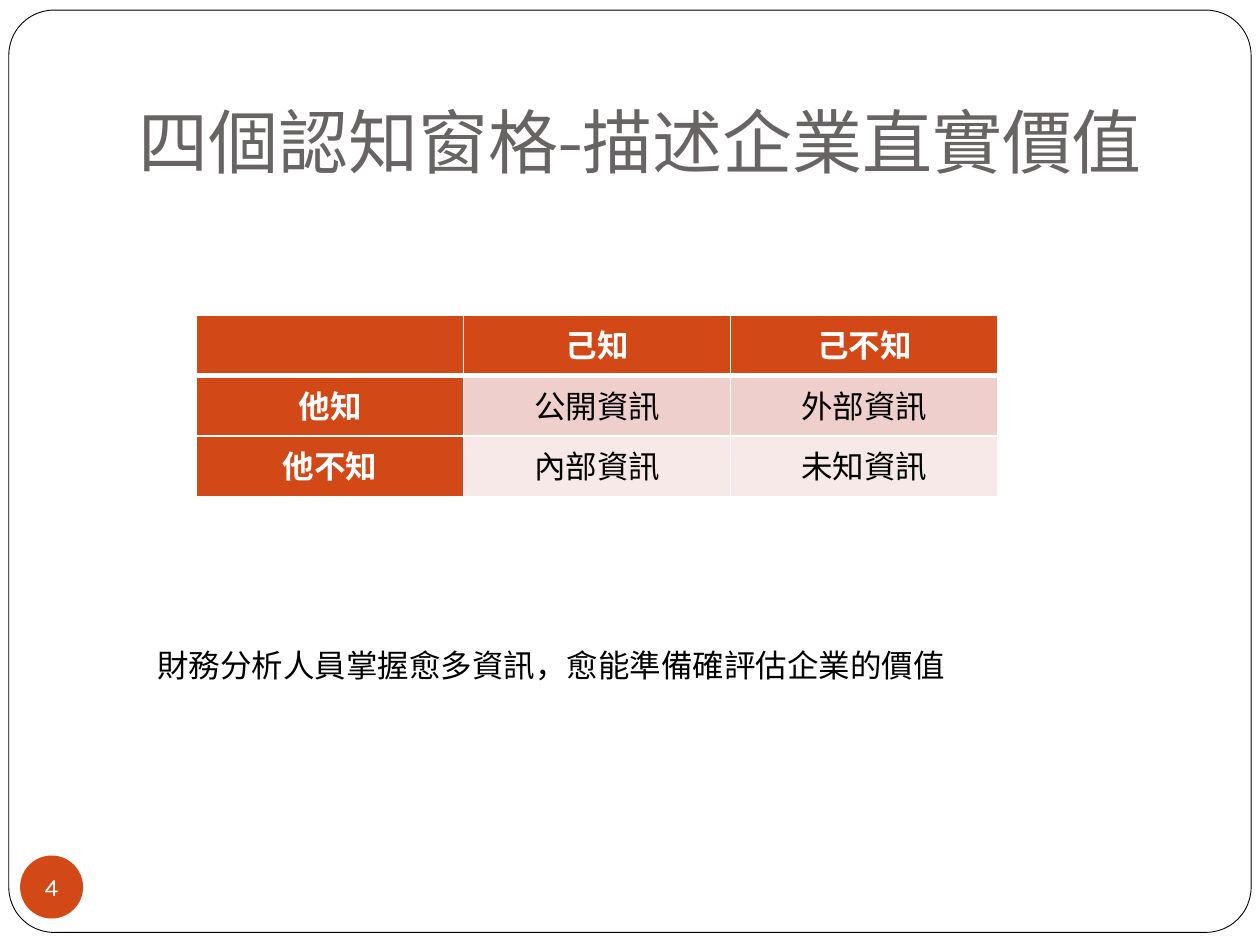
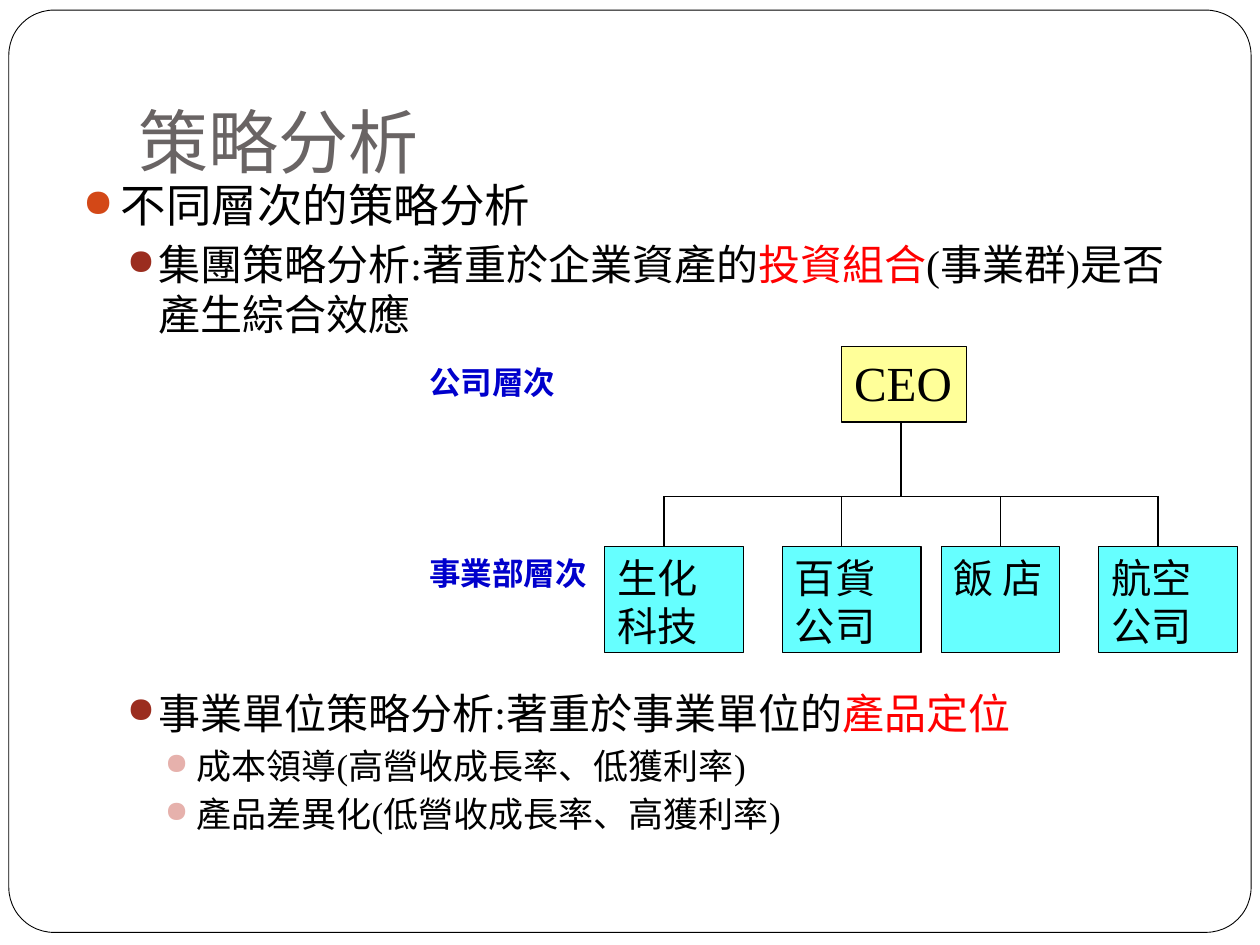
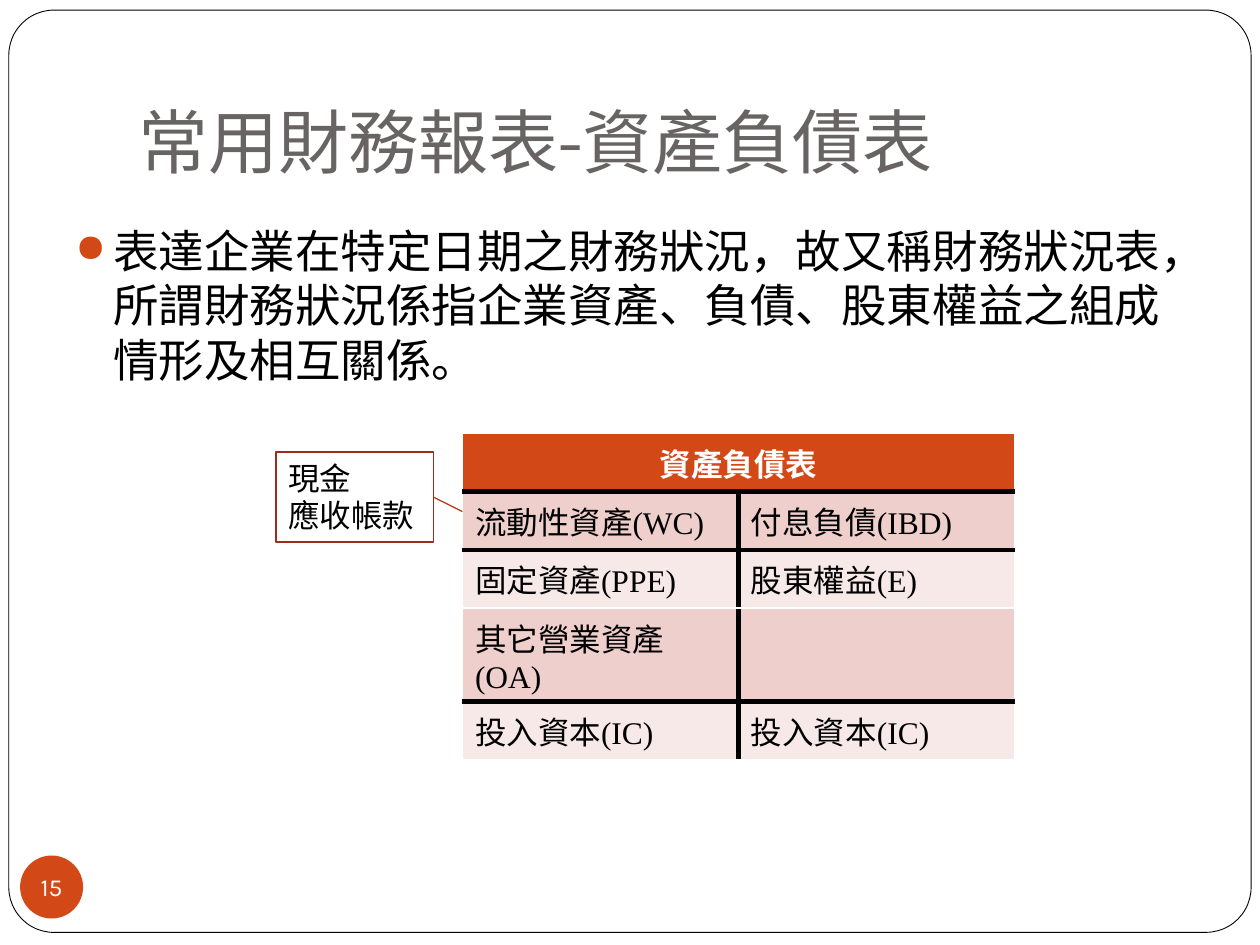
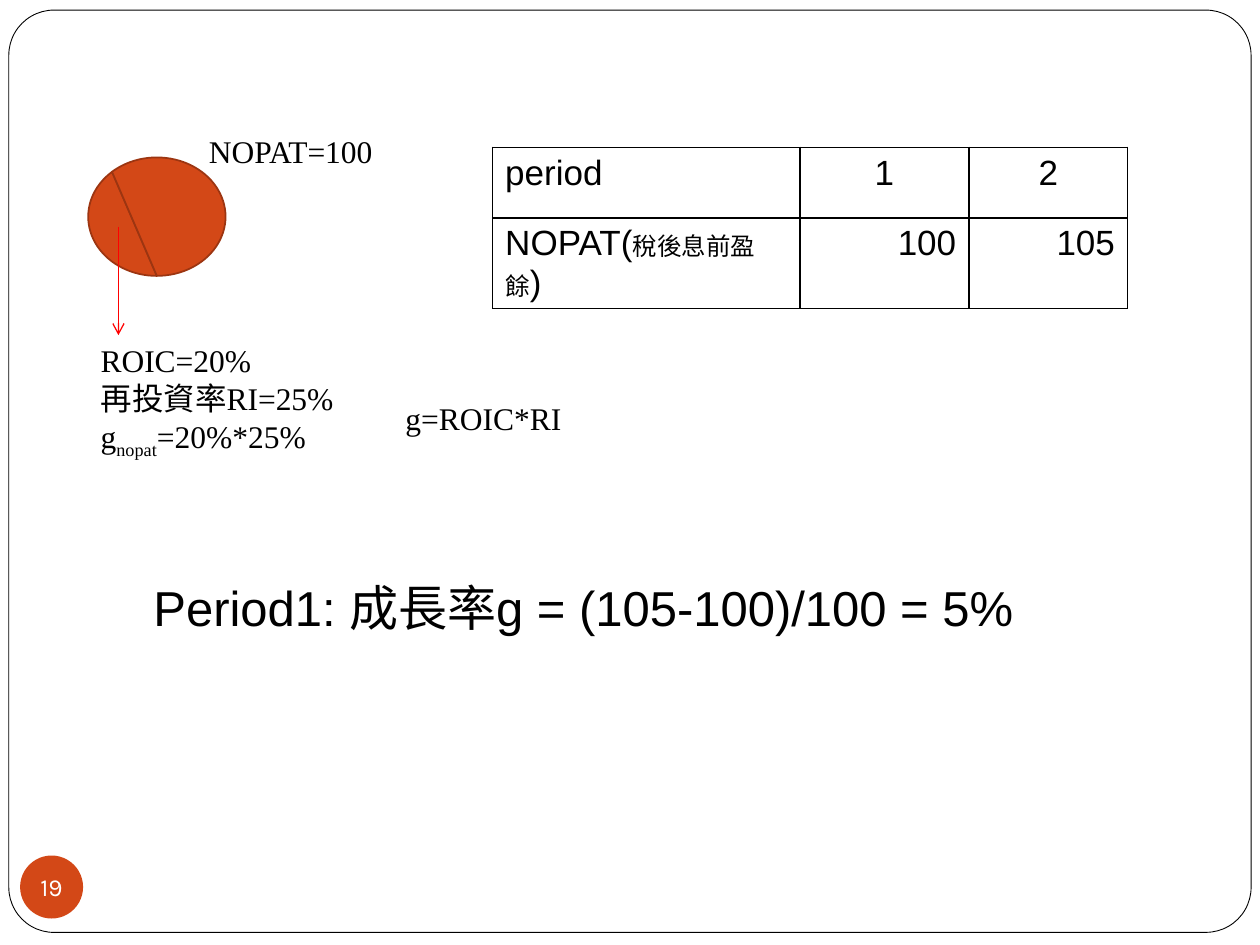
"""Build four slides on strategy and financial statement analysis."""
from lxml.etree import SubElement
from pptx import Presentation
from pptx.dml.color import RGBColor
from pptx.enum.shapes import MSO_CONNECTOR as Connector, MSO_SHAPE as Preset
from pptx.enum.text import MSO_ANCHOR as Anchor, MSO_AUTO_SIZE as AutoSize, PP_ALIGN as Align
from pptx.oxml.ns import qn
from pptx.util import Pt

PX = 9144
TITLE_ONLY, BLANK = 5, 6
TITLE_FONT, BODY_FONT, PLAIN_FONT = "Karla", "Times New Roman", "Arial"

BLACK = RGBColor(0x00, 0x00, 0x00)
WHITE = RGBColor(0xFF, 0xFF, 0xFF)
GREY = RGBColor(0x69, 0x64, 0x64)
ORANGE = RGBColor(0xD3, 0x48, 0x17)
DARK_ORANGE = RGBColor(0x9C, 0x35, 0x11)
CALLOUT_ORANGE = RGBColor(0xB1, 0x36, 0x0B)
MAROON = RGBColor(0x9B, 0x2D, 0x1F)
ROSE = RGBColor(0xE6, 0xB1, 0xAC)
BAND_DARK = RGBColor(0xEF, 0xCF, 0xCC)
BAND_LIGHT = RGBColor(0xF7, 0xE9, 0xE8)
RED = RGBColor(0xFF, 0x00, 0x00)
BLUE = RGBColor(0x00, 0x00, 0xCC)
YELLOW = RGBColor(0xFF, 0xFF, 0x99)
CYAN = RGBColor(0x66, 0xFF, 0xFF)

BULLET_LEVELS = [
    dict(indent=30, hang=30, size=26, color=ORANGE, before=5.8),
    dict(indent=60, hang=25, size=24, color=MAROON, before=3.7),
    dict(indent=90, hang=25, size=20, color=ROSE, before=3.7),
]


def px(*lengths):
    return [length * PX for length in lengths]


class SlideBuilder:
    """Hold the deck style and draw elements on the current slide."""

    def __init__(self):
        self.deck = Presentation()
        self.deck.slide_width, self.deck.slide_height = px(1000, 750)
        self.page = None

    def start(self, title=None, number=None):
        layout = self.deck.slide_layouts[TITLE_ONLY if title else BLANK]
        self.page = self.deck.slides.add_slide(layout)
        frame = self.shape(Preset.ROUNDED_RECTANGLE, 7, 8, 986, 732, WHITE, BLACK, 0.5)
        frame.adjustments[0] = 0.049
        if title:
            self.title(title, frame)
        if number:
            badge = self.shape(Preset.OVAL, 16, 679, 50, 50, ORANGE)
            self.put_lines(badge.text_frame, [number], align=Align.CENTER,
                           font=TITLE_FONT, size=14, color=WHITE)
            self.fit(badge.text_frame, Anchor.MIDDLE, (0, 0, 0, 0), wrap=False)

    def title(self, text, frame):
        holder = self.page.shapes.title
        holder.element.addprevious(frame.element)
        holder.left, holder.top, holder.width, holder.height = px(100, 30, 850, 125)
        self.put_lines(holder.text_frame, [text], font=TITLE_FONT, size=40, color=GREY)
        self.fit(holder.text_frame, Anchor.BOTTOM, (10, 5, 10, 10))

    def fit(self, frame, anchor=Anchor.TOP, insets=(10, 5, 10, 5), wrap=True):
        frame.auto_size = AutoSize.NONE
        frame.word_wrap = wrap
        frame.vertical_anchor = anchor
        (frame.margin_left, frame.margin_top,
         frame.margin_right, frame.margin_bottom) = px(*insets)

    def put_lines(self, frame, lines, align=Align.LEFT, **style):
        for index, line in enumerate(lines):
            para = frame.add_paragraph() if index else frame.paragraphs[0]
            self.put_line(para, line, align, **style)

    def put_line(self, para, line, align=Align.LEFT, **style):
        para.alignment = align
        for part in [line] if isinstance(line, str) else line:
            text, changes = (part, {}) if isinstance(part, str) else part
            span = para.add_run()
            span.text = text
            self.style_span(span, **{**style, **changes})

    def style_span(self, span, font=BODY_FONT, size=18, color=BLACK, bold=False, baseline=0):
        span.font.name = font
        span.font.size = Pt(size)
        span.font.color.rgb = color
        span.font.bold = bold
        if baseline:
            span._r.get_or_add_rPr().set("baseline", str(baseline * 1000))

    def text(self, left, top, width, height, lines, anchor=Anchor.TOP, **style):
        box = self.page.shapes.add_textbox(*px(left, top, width, height))
        self.put_lines(box.text_frame, lines, **style)
        self.fit(box.text_frame, anchor)
        return box

    def bullets(self, left, top, width, height, items):
        box = self.page.shapes.add_textbox(*px(left, top, width, height))
        self.fit(box.text_frame)
        for index, (depth, line, gap) in enumerate(items):
            level = BULLET_LEVELS[depth]
            para = box.text_frame.add_paragraph() if index else box.text_frame.paragraphs[0]
            para.level = depth
            para.space_before = Pt(level["before"] + gap if index else 0)
            props = para._p.get_or_add_pPr()
            props.set("marL", str(level["indent"] * PX))
            props.set("indent", str(-level["hang"] * PX))
            tint = SubElement(props, qn("a:buClr"))
            SubElement(tint, qn("a:srgbClr"), val=str(level["color"]))
            SubElement(props, qn("a:buSzPct"), val="85000")
            SubElement(props, qn("a:buChar"), char="●")
            self.put_line(para, line, size=level["size"])

    def shape(self, preset, left, top, width, height, fill, line=None, weight=1):
        item = self.page.shapes.add_shape(preset, *px(left, top, width, height))
        item.shadow.inherit = False
        item.fill.solid()
        item.fill.fore_color.rgb = fill
        if line is None:
            item.line.fill.background()
        else:
            item.line.color.rgb = line
            item.line.width = Pt(weight)
        return item

    def box(self, left, top, width, height, lines, fill, line, weight, size):
        item = self.shape(Preset.RECTANGLE, left, top, width, height, fill, line, weight)
        self.put_lines(item.text_frame, lines, size=size)
        self.fit(item.text_frame)
        return item

    def line(self, start, end, color=BLACK, arrow=False):
        item = self.page.shapes.add_connector(Connector.STRAIGHT, *px(*start, *end))
        item.line.color.rgb = color
        item.line.width = Pt(0.75)
        props = item.element.spPr
        if arrow:
            SubElement(props.find(qn("a:ln")), qn("a:tailEnd"), type="arrow")
        SubElement(props, qn("a:effectLst"))
        return item

    def table(self, left, top, widths, heights, rows, fills, aligns,
              edge=(WHITE, 1), row_rules=None, column_rules=None, **style):
        row_rules, column_rules = row_rules or {}, column_rules or {}
        table = self.page.shapes.add_table(
            len(rows), len(widths), *px(left, top, sum(widths), sum(heights))).table
        table.first_row = table.horz_banding = False
        for column, width in zip(table.columns, widths):
            column.width = width * PX
        for row, height in zip(table.rows, heights):
            row.height = height * PX
        for r, line in enumerate(rows):
            for c, text in enumerate(line):
                cell, fill = table.cell(r, c), fills[r][c]
                columns = column_rules if r else {}
                self.borders(cell, lnL=columns.get(c, edge), lnR=columns.get(c + 1, edge),
                             lnT=row_rules.get(r, edge), lnB=row_rules.get(r + 1, edge))
                if fill is None:
                    cell.fill.background()
                else:
                    cell.fill.solid()
                    cell.fill.fore_color.rgb = fill
                heading = fill == ORANGE
                if text:
                    self.put_lines(cell.text_frame, [text], align=aligns[r][c], bold=heading,
                                   color=WHITE if heading else BLACK, **style)
        return table

    def borders(self, cell, **sides):
        props = cell._tc.get_or_add_tcPr()
        for tag, (color, weight) in sides.items():
            side = SubElement(props, qn(f"a:{tag}"), w=str(Pt(weight)))
            paint = SubElement(side, qn("a:solidFill"))
            SubElement(paint, qn("a:srgbClr"), val=str(color))


def knowledge_panes(slides):
    slides.start("四個認知窗格-描述企業直實價值", "4")
    slides.table(
        156, 250, [212] * 3, [48] * 3,
        [["", "己知", "己不知"],
         ["他知", "公開資訊", "外部資訊"],
         ["他不知", "內部資訊", "未知資訊"]],
        fills=[[ORANGE] * 3, [ORANGE] + [BAND_DARK] * 2, [ORANGE] + [BAND_LIGHT] * 2],
        aligns=[[Align.CENTER] * 3] * 3, row_rules={1: (WHITE, 3)})
    slides.text(115, 508, 690, 40, ["財務分析人員掌握愈多資訊，愈能準備確評估企業的價值"])


def strategy_levels(slides):
    slides.start("策略分析")
    slides.bullets(56, 136, 900, 586, [
        (0, "不同層次的策略分析", 0),
        (1, ["集團策略分析:著重於企業資產的", ("投資組合", dict(color=RED)),
             "(事業群)是否產生綜合效應"], 0),
        (1, ["事業單位策略分析:著重於事業單位的", ("產品定位", dict(color=RED))], 195),
        (2, "成本領導(高營收成長率、低獲利率)", 0),
        (2, "產品差異化(低營收成長率、高獲利率)", 0),
    ])
    rail, unit_top = 394, 434
    slides.box(668, 275, 99, 60, ["CEO"], YELLOW, BLACK, 0.75, 28)
    slides.line((527, rail), (919, rail))
    slides.line((715, 335), (715, rail))
    for name, left, width, stem in [("生化科技", 480, 110, 527), ("百貨公司", 621, 110, 668),
                                    ("飯 店", 747, 94, 794), ("航空公司", 872, 110, 919)]:
        unit = slides.box(left, unit_top, width, 84, [name], CYAN, BLACK, 0.75, 23)
        drop = slides.line((stem, rail), (stem, unit_top))
        if stem == left + width / 2:
            drop.end_connect(unit, 0)
    for label, top in [("公司層次", 283), ("事業部層次", 435)]:
        slides.text(331, top, 205, 50, [label], color=BLUE, bold=True)


def balance_sheet(slides):
    slides.start("常用財務報表-資產負債表", "15")
    slides.bullets(50, 172, 895, 156, [
        (0, "表達企業在特定日期之財務狀況，故又稱財務狀況表，所謂財務狀況係指企業資產、"
            "負債、股東權益之組成情形及相互關係。", 0)])
    heavy = (BLACK, 3)
    sheet = slides.table(
        367, 344, [219] * 2, [35] + [43] * 4,
        [["資產負債表", ""],
         ["流動性資產(WC)", "付息負債(IBD)"],
         ["固定資產(PPE)", "股東權益(E)"],
         ["其它營業資產(OA)", ""],
         ["投入資本(IC)", "投入資本(IC)"]],
        fills=[[ORANGE] * 2] + [[BAND_DARK] * 2, [BAND_LIGHT] * 2] * 2,
        aligns=[[Align.CENTER] * 2] + [[Align.LEFT] * 2] * 4,
        row_rules={1: heavy, 2: heavy, 4: heavy}, column_rules={1: heavy})
    sheet.cell(0, 0).merge(sheet.cell(0, 1))
    callout = slides.box(219, 359, 125, 71, ["現金", "應收帳款"], WHITE, MAROON, 1, 18)
    leader = slides.line((367, 406), (344, 395), CALLOUT_ORANGE)
    leader.end_connect(callout, 3)


def growth_rate(slides):
    slides.start(number="19")
    slides.table(
        391, 117, [244, 134, 126], [56, 58],
        [["period", "1", "2"],
         [["NOPAT(", ("稅後息前盈餘", dict(size=14)), ")"], "100", "105"]],
        fills=[[None] * 3] * 2,
        aligns=[[Align.LEFT] + [Align.CENTER] * 2, [Align.LEFT] + [Align.RIGHT] * 2],
        edge=(BLACK, 1), font=PLAIN_FONT, size=20)
    formula = slides.text(70, 453, 827, 57, ["Period1: 成長率g = (105-100)/100 = 5%"],
                          anchor=Anchor.MIDDLE, font=PLAIN_FONT, size=28)
    formula.text_frame.paragraphs[0]._p.get_or_add_pPr().set("indent", str(42 * PX))
    for start, end in [(54, 135), (135, 54)]:
        part = slides.shape(Preset.CHORD, 70, 125, 109, 94, ORANGE, DARK_ORANGE)
        part.adjustments[0], part.adjustments[1] = start, end
    slides.text(156, 100, 172, 40, ["NOPAT=100"])
    slides.line((94, 180), (94, 266), RED, arrow=True)
    slides.text(70, 266, 266, 101, [
        "ROIC=20%", "再投資率RI=25%", ["g", ("nopat", dict(baseline=-25)), "=20%*25%"]])
    slides.text(312, 312, 156, 40, ["g=ROIC*RI"])


def main():
    slides = SlideBuilder()
    for build in (knowledge_panes, strategy_levels, balance_sheet, growth_rate):
        build(slides)
    slides.deck.save("out.pptx")


if __name__ == "__main__":
    main()
